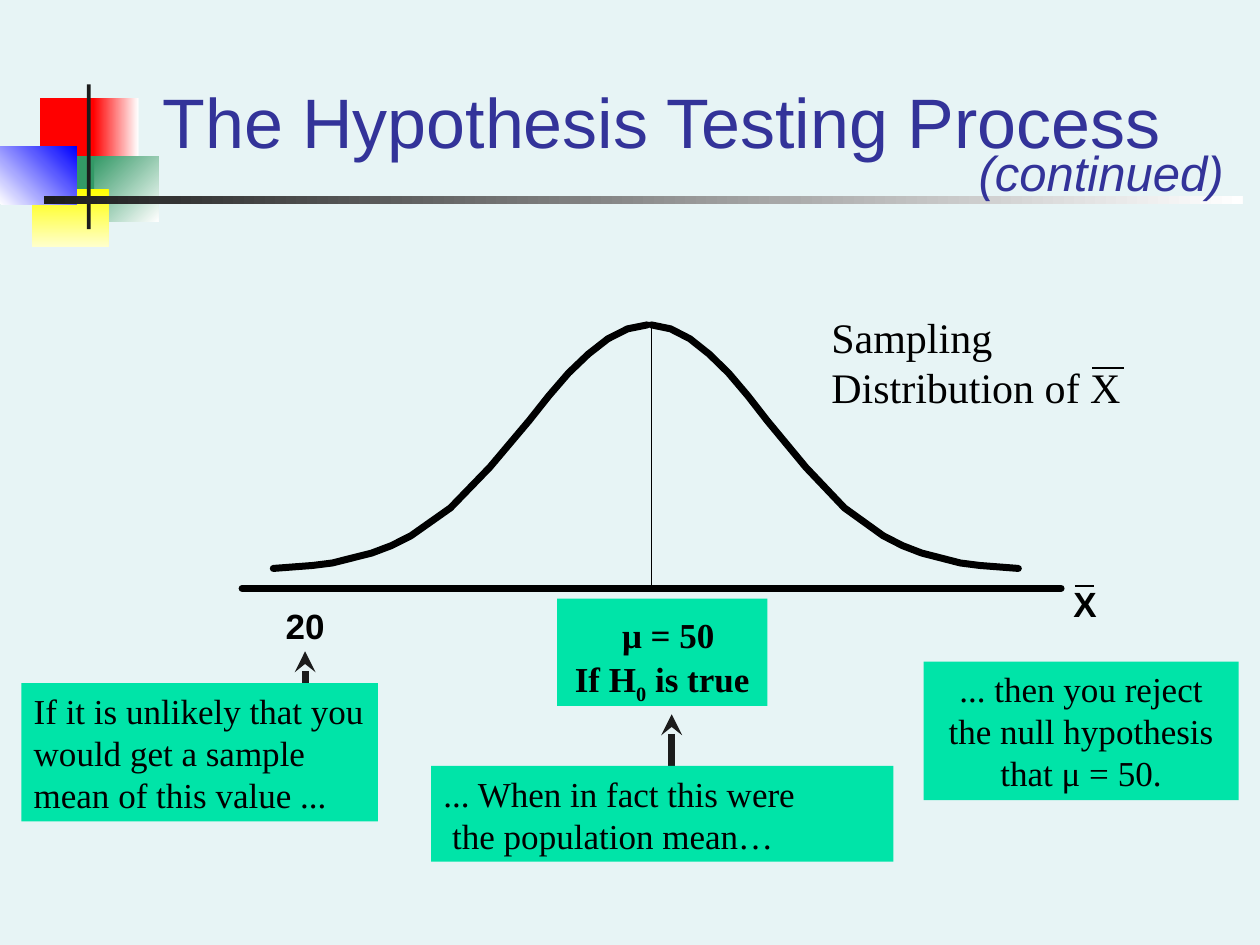
from lxml.etree import SubElement
from pptx import Presentation
from pptx.dml.color import RGBColor
from pptx.enum.shapes import MSO_CONNECTOR, MSO_SHAPE
from pptx.enum.text import MSO_ANCHOR, PP_ALIGN
from pptx.oxml.ns import qn
from pptx.util import Cm, Pt

BLACK, CHARCOAL, INDIGO, MINT = "000000", "1C1C1C", "333399", "00E4A8"
SERIF, SANS = "Times New Roman", "Arial"
rgb = RGBColor.from_string


def format_runs(frame, font, size, color, bold=False, italic=False):
    for paragraph in frame.paragraphs:
        for run in paragraph.runs:
            run.font.name, run.font.size = font, Pt(size)
            run.font.bold, run.font.italic = bold, italic
            run.font.color.rgb = rgb(color)


def add_line(x1, y1, x2, y2, width, color=BLACK):
    line = slide.shapes.add_connector(
        MSO_CONNECTOR.STRAIGHT, Cm(x1), Cm(y1), Cm(x2), Cm(y2))
    line.line.width = Pt(width)
    line.line.color.rgb = rgb(color)
    SubElement(line._element.spPr, qn("a:effectLst"))
    return line


presentation = Presentation()
presentation.slide_width, presentation.slide_height = Cm(25.4), Cm(19.05)
slide = presentation.slides.add_slide(presentation.slide_layouts[5])
slide.background.fill.solid()
slide.background.fill.fore_color.rgb = rgb("E7F4F5")

# Corner ornament: left, top, width, height, colours, counter-clockwise angle
ornament = [
    (0.81, 1.98, 1.22, 1.32, ["FF0000"], 0),
    (1.88, 1.98, 0.91, 1.32, ["FF0000", "FFFFFF"], 0),
    (1.9, 3.15, 1.3, 1.32, ["339966", "FFFFFF"], 315),
    (1.09, 3.15, 0.81, 1.32, ["339966"], 0),
    (0.64, 3.81, 1.55, 1.17, ["FFFF00", "FFFFCC"], 270),
    (0, 2.95, 1.55, 1.17, ["FFFFFF", "0000FF"], 45),
    (1.75, 1.7, 0.08, 2.92, [CHARCOAL], 0),
    (0.89, 3.96, 24.16, 0.15, [CHARCOAL, "FFFFFF"], 0),
]
for left, top, width, height, colors, angle in ornament:
    block = slide.shapes.add_shape(
        MSO_SHAPE.RECTANGLE, Cm(left), Cm(top), Cm(width), Cm(height))
    block.shadow.inherit = False
    block.line.fill.background()
    if len(colors) == 1:
        block.fill.solid()
        block.fill.fore_color.rgb = rgb(colors[0])
    else:
        block.fill.gradient()
        block.fill.gradient_angle = angle
        for stop, color in zip(block.fill.gradient_stops, colors):
            stop.color.rgb = rgb(color)

title = slide.shapes.title
title.left, title.top, title.width, title.height = Cm(2.13), Cm(0.66), Cm(22.4), Cm(2.74)
title.text_frame.text = "The Hypothesis Testing Process"
title.text_frame.vertical_anchor = MSO_ANCHOR.BOTTOM
title.text_frame.paragraphs[0].alignment = PP_ALIGN.CENTER
format_runs(title.text_frame, SANS, 40, INDIGO)

# Arrows from the lower notes up to the values they explain
for x, start, end in [(6.15, 13.97, 13.13), (13.54, 15.88, 14.4)]:
    arrow = add_line(x, start, x, end, 4, CHARCOAL)
    SubElement(arrow.line._get_or_add_ln(), qn("a:tailEnd"), type="stealth")

# Bell curve: both halves share the heights and the steps out from the mean
steps = [0, 1, 2, 3, 4, 5, 6, 8, 10, 12, 13, 14, 15, 16, 17, 19]
heights = [6.55, 6.63, 6.83, 7.14, 7.52, 7.98, 8.48, 9.42,
           10.24, 10.8, 11, 11.15, 11.25, 11.35, 11.4, 11.46]
for peak, tail in [(13.13, 20.53), (13.05, 5.51)]:
    points = [(Cm(peak + (tail - peak) * step / steps[-1]), Cm(height))
              for step, height in zip(steps, heights)]
    builder = slide.shapes.build_freeform(*points[0])
    builder.add_line_segments(points[1:], close=False)
    half = builder.convert_to_shape()
    half.shadow.inherit = False
    half.fill.background()
    half.line.width = Pt(4)
    half.line.color.rgb = rgb(BLACK)
    half.line._get_or_add_ln().set("cap", "rnd")

axis = add_line(4.88, 11.86, 21.39, 11.86, 4)
axis.line._get_or_add_ln().set("cap", "rnd")
add_line(13.13, 6.55, 13.13, 11.86, 0.75)    # mean
add_line(15.44, 4.24, 15.44, 4.24, 0.75)     # dot below the rule
add_line(22.02, 7.42, 22.66, 7.42, 1.5)      # bar over X in the heading
add_line(21.67, 11.81, 22.05, 11.81, 1.5)    # bar over X on the axis

# Labels without fill
labels = [
    (16.51, 6.15, 6.55, 2.29, "Sampling Distribution of X", (SERIF, 24, BLACK)),
    (5.51, 12.07, 1.47, 1.09, "20", (SANS, 20, BLACK, True)),
    (21.39, 11.61, 1.47, 1.09, "X", (SANS, 20, BLACK, True)),
    (19.48, 2.74, 5.46, 1.45, "(continued)", (SANS, 28, INDIGO, False, True)),
]
for left, top, width, height, text, style in labels:
    label = slide.shapes.add_textbox(Cm(left), Cm(top), Cm(width), Cm(height))
    label.text_frame.word_wrap = text != "(continued)"
    label.text_frame.text = text
    format_runs(label.text_frame, *style)

# Notes on a mint ground
notes = [
    (0.43, 13.77, 7.19, 2.79, PP_ALIGN.LEFT,
     "If it is unlikely that you would get a sample mean of this value ..."),
    (18.62, 13.34, 6.35, 2.79, PP_ALIGN.CENTER,
     "... then you reject the null hypothesis that μ = 50."),
    (8.69, 15.44, 9.32, 1.93, PP_ALIGN.LEFT,
     "... When in fact this were\v the population mean…"),
    (11.23, 12.07, 4.24, 2.16, PP_ALIGN.CENTER, " \nIf H"),
]
for left, top, width, height, alignment, text in notes:
    note = slide.shapes.add_shape(
        MSO_SHAPE.RECTANGLE, Cm(left), Cm(top), Cm(width), Cm(height))
    note.shadow.inherit = False
    note.fill.solid()
    note.fill.fore_color.rgb = rgb(MINT)
    note.line.fill.background()
    note.text_frame.word_wrap = True
    note.text_frame.vertical_anchor = MSO_ANCHOR.TOP
    note.text_frame.text = text
    for paragraph in note.text_frame.paragraphs:
        paragraph.alignment = alignment
    format_runs(note.text_frame, SERIF, 20, BLACK)

# The last note holds the hypothesised mean, with a subscript
mean_line, condition = note.text_frame.paragraphs
mean_line.add_run().text = "μ = 50"
subscript = condition.add_run()
subscript.text = "0"
condition.add_run().text = " is true"
format_runs(note.text_frame, SERIF, 20, BLACK, bold=True)
mean_line.runs[0].font.name = SANS
mean_line.runs[0].font.size = Pt(25)
subscript.font._element.set("baseline", "-25000")

presentation.save("out.pptx")
